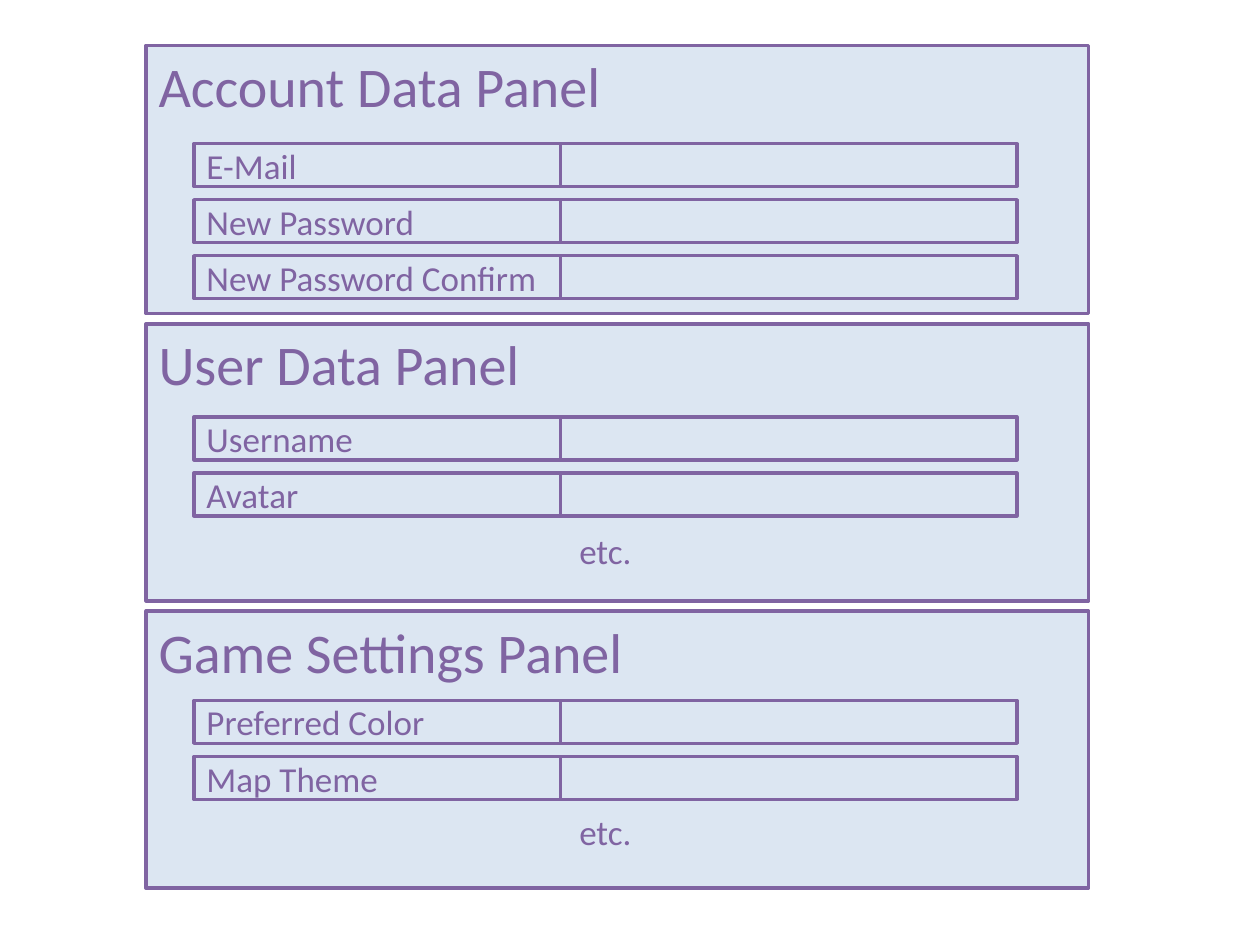
from dataclasses import dataclass

import pptx
import pptx.dml.color
import pptx.enum.shapes
import pptx.enum.text
import pptx.util

Inches = pptx.util.Inches
Align = pptx.enum.text.PP_ALIGN
Anchor = pptx.enum.text.MSO_ANCHOR


@dataclass(frozen=True)
class Theme:
    font: str = "Calibri"
    ink: str = "8064A2"
    panel: str = "DCE6F2"
    title_size: int = 32
    field_size: int = 20
    border: float = 2


THEME = Theme()
PANEL_LEFT, PANEL_WIDTH = 1.16, 7.48
FIELD_LEFT, LABEL_WIDTH, INPUT_WIDTH = 1.54, 2.91, 3.62
FIELD_HEIGHT, FIELD_PITCH = 0.34, 0.445

PANELS = [
    ("Account Data Panel", 0.36, 2.13, 1.14,
     ["E-Mail", "New Password", "New Password Confirm"], None),
    ("User Data Panel", 2.57, 2.2, 3.31, ["Username", "Avatar"], 4.2),
    ("Game Settings Panel", 4.85, 2.2, 5.56, ["Preferred Color", "Map Theme"], 6.43),
]


def rgb(value):
    return pptx.dml.color.RGBColor.from_string(value)


def add_box(slide, left, top, width, height, text="", size=THEME.field_size,
            anchor=Anchor.MIDDLE, align=Align.LEFT, bordered=True):
    box = slide.shapes.add_shape(
        pptx.enum.shapes.MSO_SHAPE.RECTANGLE,
        Inches(left), Inches(top), Inches(width), Inches(height))
    box.shadow.inherit = False
    box.fill.solid()
    box.fill.fore_color.rgb = rgb(THEME.panel)
    if bordered:
        box.line.color.rgb = rgb(THEME.ink)
        box.line.width = pptx.util.Pt(THEME.border)
    else:
        box.line.fill.background()
    if text:
        frame = box.text_frame
        frame.word_wrap = True
        frame.vertical_anchor = anchor
        paragraph = frame.paragraphs[0]
        paragraph.text = text
        paragraph.alignment = align
        paragraph.font.name = THEME.font
        paragraph.font.size = pptx.util.Pt(size)
        paragraph.font.color.rgb = rgb(THEME.ink)


def add_field(slide, top, label):
    add_box(slide, FIELD_LEFT, top, LABEL_WIDTH, FIELD_HEIGHT, label)
    add_box(slide, FIELD_LEFT + LABEL_WIDTH, top, INPUT_WIDTH, FIELD_HEIGHT)


def add_panel(slide, title, top, height, fields_top, labels, more_top):
    add_box(slide, PANEL_LEFT, top, PANEL_WIDTH, height, title,
            size=THEME.title_size, anchor=Anchor.TOP)
    for row, label in enumerate(labels):
        add_field(slide, fields_top + row * FIELD_PITCH, label)
    if more_top is not None:
        add_box(slide, FIELD_LEFT, more_top, LABEL_WIDTH + INPUT_WIDTH, FIELD_HEIGHT,
                "etc.", align=Align.CENTER, bordered=False)


def main():
    deck = pptx.Presentation()
    deck.slide_width, deck.slide_height = Inches(10), Inches(7.5)
    slide = deck.slides.add_slide(deck.slide_layouts[6])
    for panel in PANELS:
        add_panel(slide, *panel)
    deck.save("out.pptx")


main()
